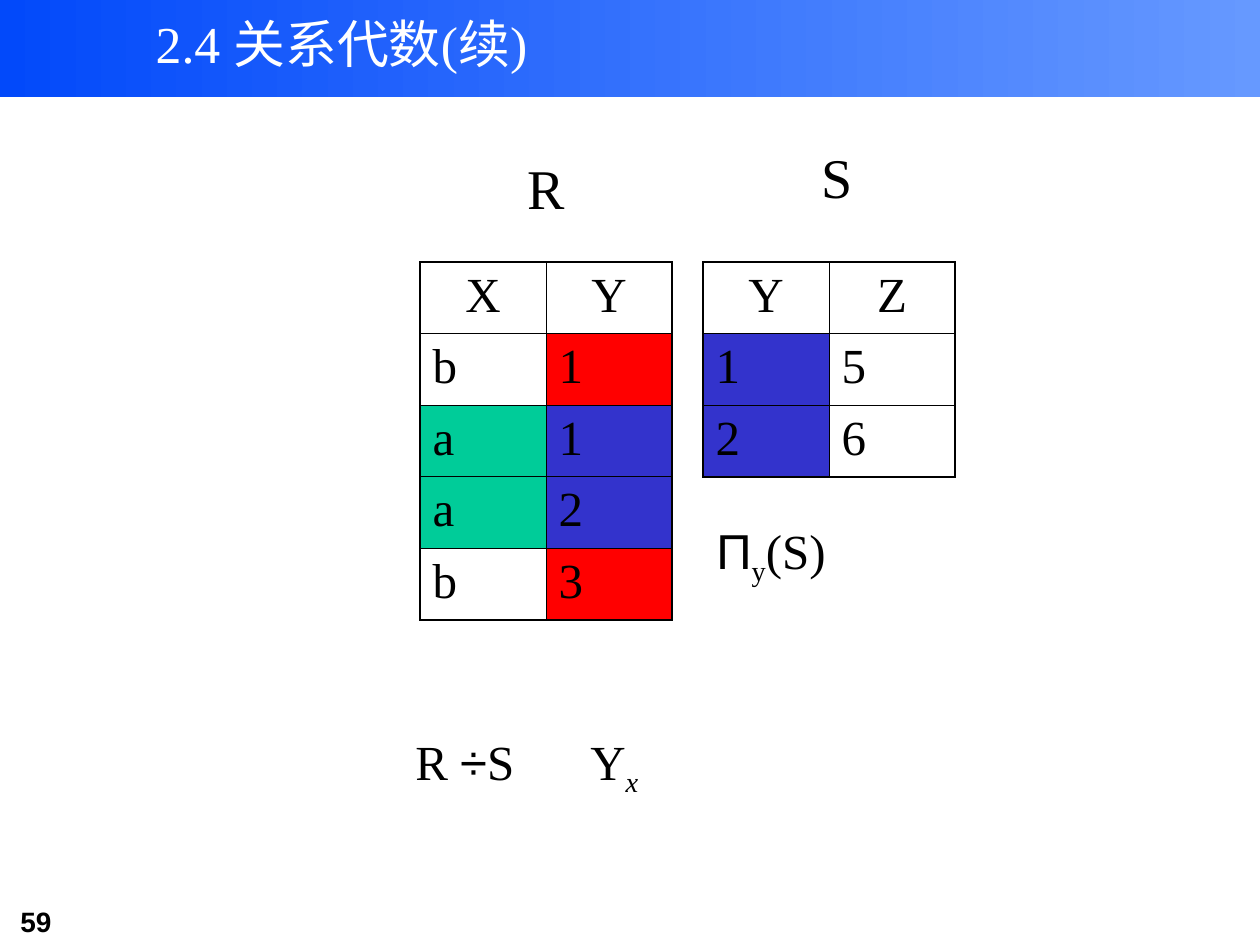
"""Builds the relational algebra slide about dividing R by S."""
from lxml import etree
from pptx import Presentation
from pptx.dml.color import RGBColor
from pptx.enum.shapes import MSO_SHAPE
from pptx.enum.text import MSO_ANCHOR, MSO_AUTO_SIZE, PP_ALIGN
from pptx.oxml.ns import qn
from pptx.util import Emu, Pt

RECTANGLE = MSO_SHAPE.RECTANGLE
MIDDLE = MSO_ANCHOR.MIDDLE
CENTER, LEFT = PP_ALIGN.CENTER, PP_ALIGN.LEFT
FIT_SHAPE, NO_FIT = MSO_AUTO_SIZE.SHAPE_TO_FIT_TEXT, MSO_AUTO_SIZE.NONE

PX = 914400 / 126
SERIF, SANS = "Times New Roman", "Arial"
OUTER, INNER = 1.08, 0.45
COLORS = {
    "text": "000000",
    "title": "FFFFFF",
    "band_start": "0249FA",
    "band_end": "6699FF",
    "red": "FF0000",
    "green": "00CC99",
    "blue": "3333CC",
}


def px(*lengths):
    return [Emu(round(length * PX)) for length in lengths]


def color(name):
    return RGBColor.from_string(COLORS[name])


class SlideBuilder:
    def __init__(self, deck):
        self.page = deck.slides.add_slide(deck.slide_layouts[5])

    def style(self, span, size, font=SERIF, tint="text", bold=False, subscript=False, italic=False):
        span.font.size = Pt(size)
        span.font.name = font
        span.font.bold = bold
        span.font.italic = italic
        span.font.color.rgb = color(tint)
        if subscript:
            span._r.get_or_add_rPr().set("baseline", "-25000")

    def band(self, left, top, width, height):
        shape = self.page.shapes.add_shape(RECTANGLE, *px(left, top, width, height))
        shape.shadow.inherit = False
        shape.line.fill.background()
        shape.fill.gradient()
        shape.fill.gradient_angle = 0
        stops = shape.fill.gradient_stops
        for stop, name, position in zip(stops, ("band_start", "band_end"), (0, 1)):
            stop.color.rgb = color(name)
            stop.position = position
        return shape

    def title(self, text, left, top, width, height, band):
        box = self.page.shapes.title
        box.left, box.top, box.width, box.height = px(left, top, width, height)
        frame = box.text_frame
        frame.text = text
        frame.auto_size = NO_FIT
        frame.vertical_anchor = MIDDLE
        para = frame.paragraphs[0]
        para.alignment = CENTER
        self.style(para.runs[0], 29.6, tint="title")
        band._element.addnext(box._element)

    def label(self, spans, left, top, width, height, size=28, wrap=False):
        box = self.page.shapes.add_textbox(*px(left, top, width, height))
        frame = box.text_frame
        frame.word_wrap = wrap
        frame.auto_size = FIT_SHAPE
        para = frame.paragraphs[0]
        for text, look in spans:
            span = para.add_run()
            span.text = text
            self.style(span, size, **look)

    def relation(self, rows, fills, left, top, width, height):
        row_count, column_count = len(rows), len(rows[0])
        table = self.page.shapes.add_table(
            row_count, column_count, *px(left, top, width, height)).table
        table.first_row = table.horz_banding = False
        for row, values in enumerate(rows):
            for column, value in enumerate(values):
                cell = table.cell(row, column)
                cell.text = value
                para = cell.text_frame.paragraphs[0]
                para.alignment = CENTER if row == 0 else LEFT
                self.style(para.runs[0], 28)
                self.borders(cell, {
                    "L": column == 0,
                    "R": column == column_count - 1,
                    "T": row == 0,
                    "B": row == row_count - 1,
                })
                if (row, column) in fills:
                    cell.fill.solid()
                    cell.fill.fore_color.rgb = color(fills[row, column])
                else:
                    cell.fill.background()

    def borders(self, cell, outer_sides):
        properties = cell._tc.get_or_add_tcPr()
        for side, is_outer in outer_sides.items():
            width = Pt(OUTER if is_outer else INNER)
            line = etree.SubElement(properties, qn(f"a:ln{side}"), w=str(width))
            fill = etree.SubElement(line, qn("a:solidFill"))
            etree.SubElement(fill, qn("a:srgbClr"), val=COLORS["text"])


def main():
    deck = Presentation()
    deck.slide_width, deck.slide_height = px(1260, 945)
    builder = SlideBuilder(deck)

    band = builder.band(0, 0, 1260, 97)
    builder.title("2.4 关系代数(续)", 116, 1, 451, 84, band)
    builder.label([("59", {"font": SANS, "bold": True})], 8, 898, 154, 47, size=16, wrap=True)

    builder.label([("R", {})], 515, 147, 62, 81, size=32)
    builder.label([("S", {})], 809, 136, 57, 81, size=32)
    builder.relation(
        ["XY", "b1", "a1", "a2", "b3"],
        {(1, 1): "red", (2, 0): "green", (2, 1): "blue",
         (3, 0): "green", (3, 1): "blue", (4, 1): "red"},
        420, 262, 252, 358)
    builder.relation(
        ["YZ", "15", "26"], {(1, 0): "blue", (2, 0): "blue"}, 703, 262, 252, 215)

    builder.label([("Y", {}), ("x", {"subscript": True, "italic": True})], 578, 725, 73, 79)
    builder.label(
        [("Π", {"font": SANS}), ("y", {"subscript": True}), ("(S)", {})], 704, 514, 137, 79)
    builder.label([("R ", {}), ("÷", {"font": SANS}), ("S", {})], 403, 725, 136, 72)

    deck.save("out.pptx")


if __name__ == "__main__":
    main()
